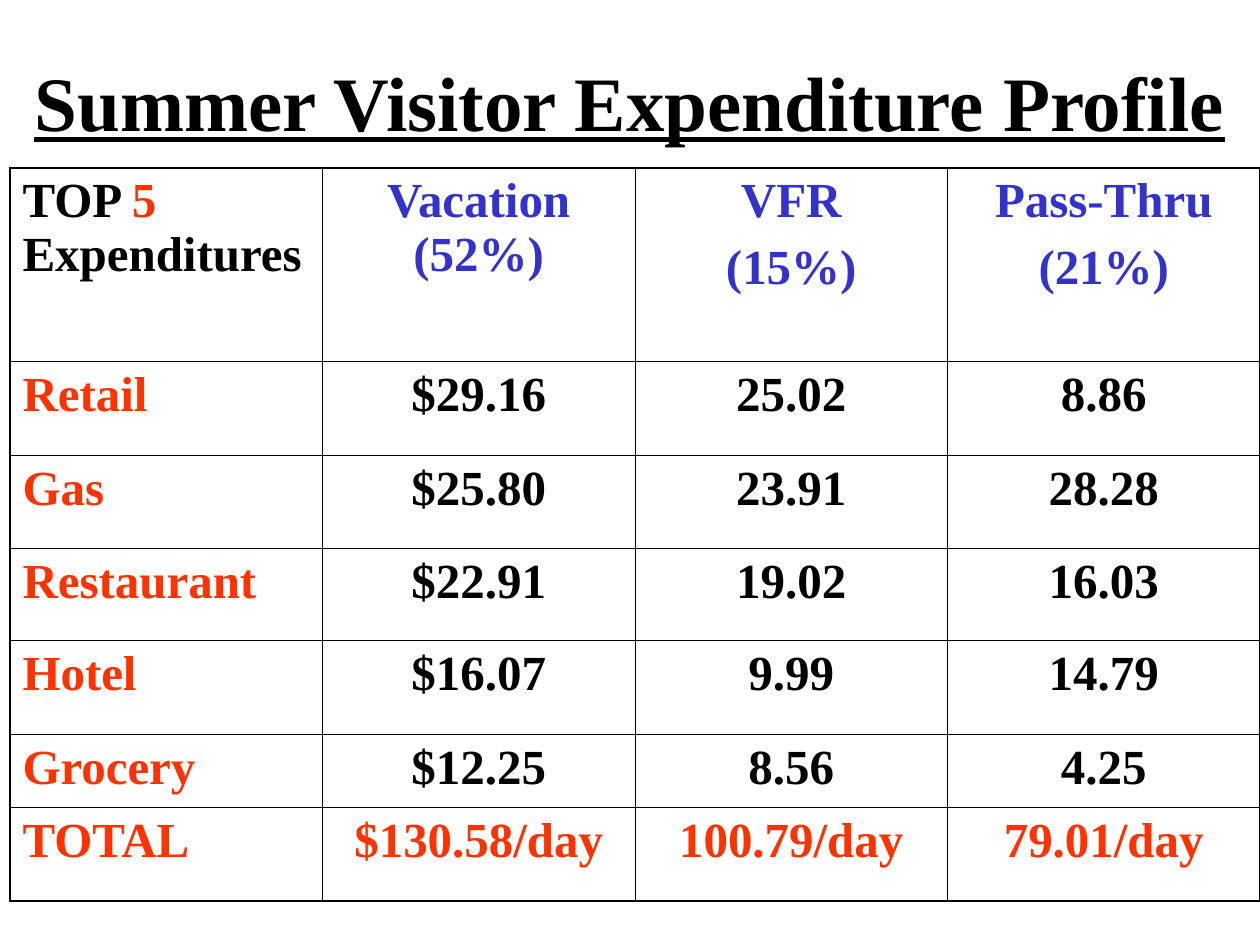
import dataclasses

import pptx
import pptx.dml.color
import pptx.enum.text
import pptx.oxml
import pptx.oxml.ns
import pptx.util

Cm = pptx.util.Cm
Pt = pptx.util.Pt
Align = pptx.enum.text.PP_ALIGN


@dataclasses.dataclass(frozen=True)
class Theme:
    font: str = "Times New Roman"
    ink: str = "000000"
    accent: str = "FF3300"
    heading: str = "3333CC"
    title_size: float = 44
    table_size: float = 28
    paragraph_gap: float = 7
    inner_rule: float = 0.45
    outer_rule: float = 1.08


class SlideBuilder:
    def __init__(self, slide, theme):
        self.slide = slide
        self.theme = theme

    def add_run(self, paragraph, text, size, color, underline=None):
        run = paragraph.add_run()
        run.text = text
        run.font.name = self.theme.font
        run.font.size = Pt(size)
        run.font.bold = True
        run.font.underline = underline
        run.font.color.rgb = pptx.dml.color.RGBColor.from_string(color)

    def title(self, text, left, top, width, height):
        heading = self.slide.shapes.title
        heading.left, heading.top = Cm(left), Cm(top)
        heading.width, heading.height = Cm(width), Cm(height)
        frame = heading.text_frame
        frame.word_wrap = True
        frame.auto_size = pptx.enum.text.MSO_AUTO_SIZE.NONE
        frame.vertical_anchor = pptx.enum.text.MSO_ANCHOR.MIDDLE
        paragraph = frame.paragraphs[0]
        paragraph.alignment = Align.CENTER
        paragraph.line_spacing = 1.0
        self.add_run(paragraph, text, self.theme.title_size, self.theme.ink, True)

    def table(self, rows, left, top, column_width, row_heights):
        """Each cell is a list of paragraphs; each paragraph a list of (text, colour)."""
        column_count = len(rows[0])
        table = self.slide.shapes.add_table(
            len(rows), column_count, Cm(left), Cm(top),
            Cm(column_width * column_count), Cm(sum(row_heights))).table
        table.first_row = False
        table.horz_banding = False
        for column in table.columns:
            column.width = Cm(column_width)
        for row, height in zip(table.rows, row_heights):
            row.height = Cm(height)
        for r, row in enumerate(rows):
            for c, paragraphs in enumerate(row):
                cell = table.cell(r, c)
                self.cell_text(cell, paragraphs, Align.CENTER if c else Align.LEFT)
                self.cell_borders(cell, {
                    "lnL": c == 0, "lnR": c == column_count - 1,
                    "lnT": r == 0, "lnB": r == len(rows) - 1})
                cell.fill.background()

    def cell_text(self, cell, paragraphs, alignment):
        frame = cell.text_frame
        for index, runs in enumerate(paragraphs):
            paragraph = frame.add_paragraph() if index else frame.paragraphs[0]
            paragraph.alignment = alignment
            if index:
                paragraph.space_before = Pt(self.theme.paragraph_gap)
            for text, color in runs:
                self.add_run(paragraph, text, self.theme.table_size, color)

    def cell_borders(self, cell, edges):
        """Draw the four sides; edges tells which lie on the table's outline."""
        properties = cell._tc.get_or_add_tcPr()
        namespace = pptx.oxml.ns.nsdecls("a")
        for side, is_outer in edges.items():
            weight = self.theme.outer_rule if is_outer else self.theme.inner_rule
            properties.append(pptx.oxml.parse_xml(
                f'<a:{side} {namespace} w="{Pt(weight)}"><a:solidFill>'
                f'<a:srgbClr val="{self.theme.ink}"/></a:solidFill></a:{side}>'))


def expenditure_rows(theme):
    headings = [["Vacation (52%)"], ["VFR", "(15%)"], ["Pass-Thru", "(21%)"]]
    spending = [
        ("Retail", "$29.16", "25.02", "8.86"),
        ("Gas", "$25.80", "23.91", "28.28"),
        ("Restaurant", "$22.91", "19.02", "16.03"),
        ("Hotel", "$16.07", "9.99", "14.79"),
        ("Grocery", "$12.25", "8.56", "4.25"),
    ]
    totals = ("TOTAL", "$130.58/day", "100.79/day", "79.01/day")

    corner = [[("TOP ", theme.ink), ("5 ", theme.accent), ("Expenditures", theme.ink)]]
    rows = [[corner] + [[[(line, theme.heading)] for line in lines] for lines in headings]]
    for category, *amounts in spending:
        rows.append([[[(category, theme.accent)]]]
                    + [[[(amount, theme.ink)]] for amount in amounts])
    rows.append([[[(total, theme.accent)]] for total in totals])
    return rows


def main():
    theme = Theme()
    deck = pptx.Presentation()
    deck.slide_width, deck.slide_height = Cm(25.4), Cm(19.05)
    title_only = deck.slide_layouts[5]
    builder = SlideBuilder(deck.slides.add_slide(title_only), theme)
    builder.title("Summer Visitor Expenditure Profile", 0, 1.07, 25.4, 1.9)
    builder.table(expenditure_rows(theme), left=0.2, top=3.38, column_width=6.3,
                  row_heights=[3.91, 1.89, 1.88, 1.85, 1.89, 1.47, 1.89])
    deck.save("out.pptx")


if __name__ == "__main__":
    main()
